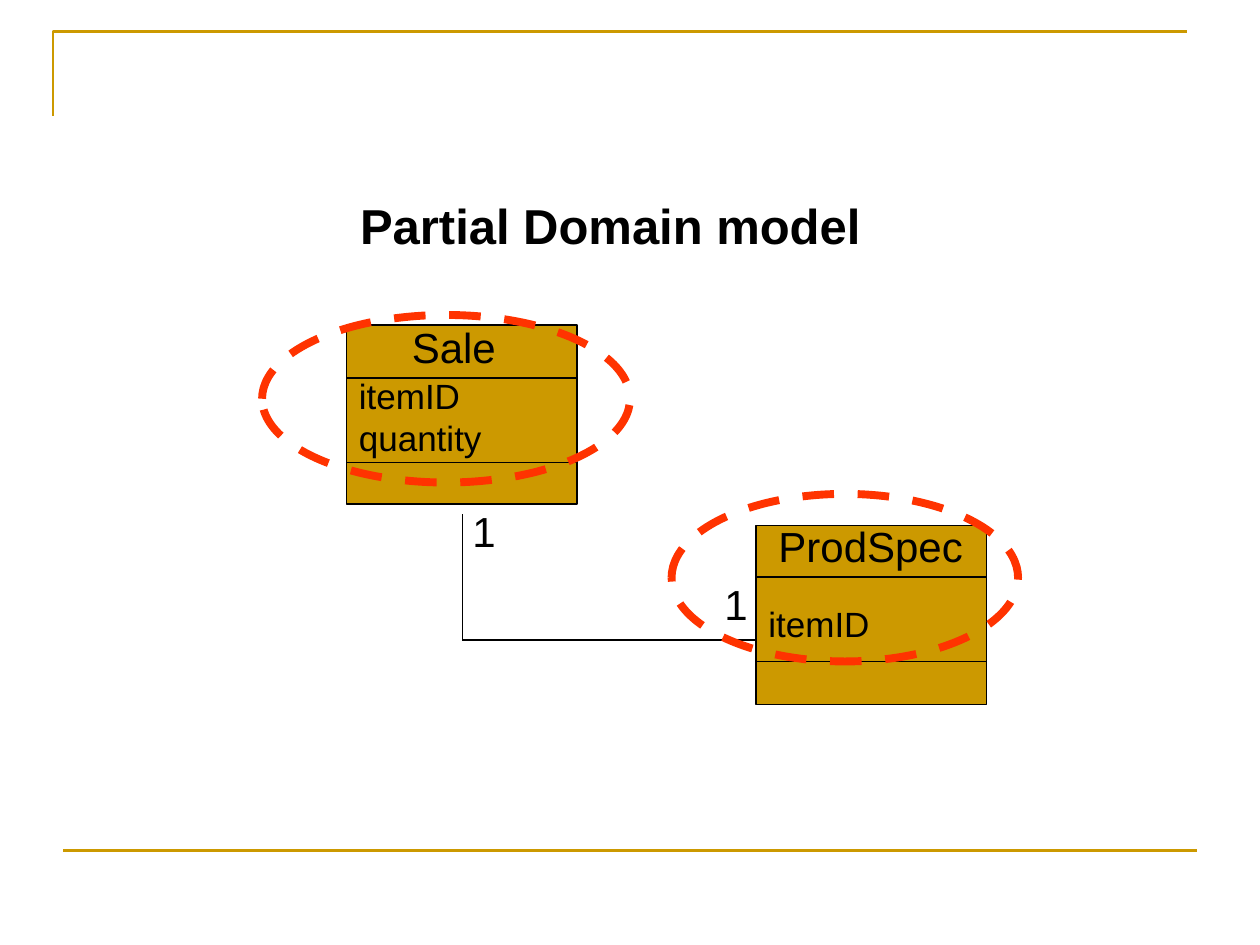
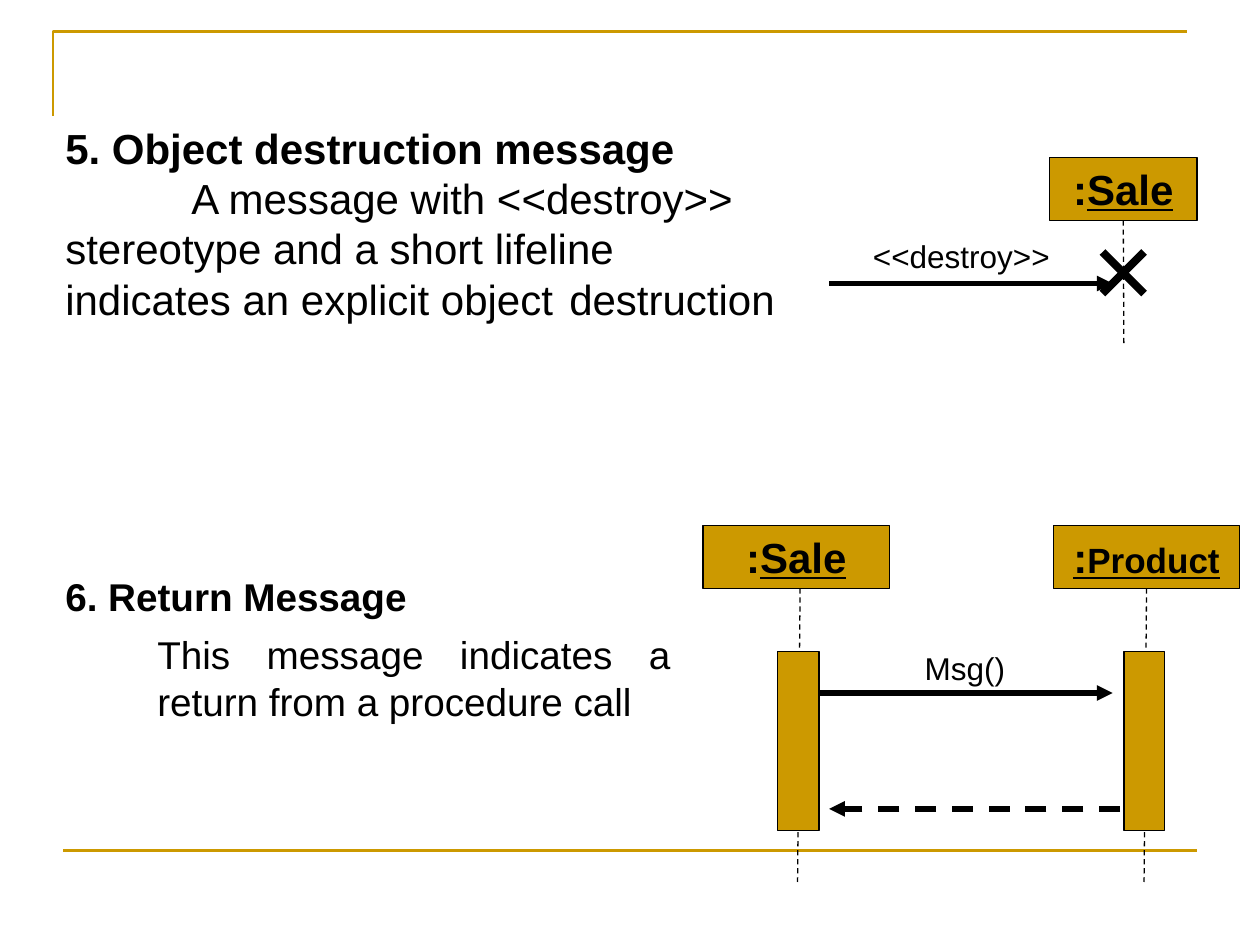
import pptx
import pptx.util
import pptx.dml.color
import pptx.enum.dml
import pptx.enum.shapes
import pptx.enum.text
import pptx.oxml.ns
from lxml import etree

Inches = pptx.util.Inches
Pt = pptx.util.Pt
RGB = pptx.dml.color.RGBColor.from_string
SHAPE = pptx.enum.shapes.MSO_SHAPE
ALIGN = pptx.enum.text.PP_ALIGN
ANCHOR = pptx.enum.text.MSO_ANCHOR
DASH = pptx.enum.dml.MSO_LINE.DASH
qn = pptx.oxml.ns.qn

COLORS = {"gold": "CC9900", "ink": "000000", "highlight": "FF3300"}
FONT = "Arial"


def add_box(page, area, text="", *, shape=None, fill=None, outline="ink", width=0.75,
            dash=None, size=24, bold=False, align=ALIGN.LEFT, anchor=ANCHOR.TOP, wrap=True):
    """Add a text box or preset shape; text is a string or paragraphs of (text, format) spans."""
    place = [Inches(value) for value in area]
    if shape is None:
        box = page.shapes.add_textbox(*place)
    else:
        box = page.shapes.add_shape(shape, *place)
        box.shadow.inherit = False
        box.line.color.rgb = RGB(COLORS[outline])
        box.line.width = Pt(width)
        if dash:
            box.line.dash_style = dash
        if fill:
            box.fill.solid()
            box.fill.fore_color.rgb = RGB(COLORS[fill])
        else:
            box.fill.background()
    if not text:
        return box
    frame = box.text_frame
    frame.word_wrap = wrap
    frame.vertical_anchor = anchor
    paragraphs = [[(text, {})]] if isinstance(text, str) else text
    for index, spans in enumerate(paragraphs):
        para = frame.paragraphs[0] if index == 0 else frame.add_paragraph()
        para.alignment = align
        for words, look in spans:
            span = para.add_run()
            span.text = words
            span.font.name = FONT
            span.font.size = Pt(look.get("size", size))
            span.font.bold = look.get("bold", bold)
            span.font.underline = look.get("underline", False)
            span.font.color.rgb = RGB(COLORS["ink"])
    return box


def add_line(page, start, end, *, color="ink", width=0.75, dash=None, arrow=False):
    """Add a straight connector, with an arrowhead at its end if asked."""
    line = page.shapes.add_connector(pptx.enum.shapes.MSO_CONNECTOR.STRAIGHT,
                                     *[Inches(value) for value in (*start, *end)])
    line.line.color.rgb = RGB(COLORS[color])
    line.line.width = Pt(width)
    if dash:
        line.line.dash_style = dash
    if arrow:
        etree.SubElement(line.line._get_or_add_ln(), qn("a:tailEnd"), type="triangle")
    etree.SubElement(line._element.spPr, qn("a:effectLst"))
    return line


deck = pptx.Presentation()
deck.slide_width, deck.slide_height = Inches(10), Inches(7.5)
domain_page, message_page = [deck.slides.add_slide(deck.slide_layouts[6]) for _ in range(2)]

# Shared frame: corner at the top, rule at the bottom
for page in (domain_page, message_page):
    outline = page.shapes.build_freeform(Inches(0.42), Inches(0.92))
    outline.add_line_segments([(Inches(0.42), Inches(0.25)), (Inches(9.42), Inches(0.25))],
                              close=False)
    corner = outline.convert_to_shape()
    corner.shadow.inherit = False
    corner.fill.background()
    corner.line.color.rgb = RGB(COLORS["gold"])
    corner.line.width = Pt(1.5)
    add_line(page, (0.5, 6.75), (9.5, 6.75), color="gold", width=1.5)

# Slide 1: domain model heading
add_box(domain_page, (2.76, 1.5, 4.17, 0.57), "Partial Domain model", size=28, bold=True,
        wrap=False)

# Class boxes: corner, divider heights, name area, attribute area, attributes
classes = [
    ((2.75, 2.58), (3, 3.67), "Sale", (3.17, 2.5, 0.87, 0.5),
     ["itemID", "quantity"], (2.75, 2.92, 1.37, 0.77)),
    ((6, 4.17), (4.58, 5.25), "ProdSpec", (6.08, 4.08, 1.67, 0.5),
     ["itemID"], (6, 4.73, 1.37, 0.44)),
]
for (left, top), dividers, name, name_area, attributes, attribute_area in classes:
    add_box(domain_page, (left, top, 1.83, 1.42), shape=SHAPE.RECTANGLE, fill="gold")
    for y in dividers:
        add_line(domain_page, (left, y), (left + 1.83, y))
    add_box(domain_page, name_area, name)
    add_box(domain_page, attribute_area, [[(item, {})] for item in attributes], size=20)

# Association with its multiplicities
add_line(domain_page, (3.67, 4.08), (3.67, 5.08))
add_line(domain_page, (3.67, 5.08), (6, 5.08))
for left, top in ((3.65, 3.96), (5.65, 4.54)):
    add_box(domain_page, (left, top, 0.38, 0.5), "1", wrap=False)

# Highlight rings
for area in ((2.08, 2.5, 2.92, 1.33), (5.33, 3.92, 2.75, 1.33)):
    add_box(domain_page, area, shape=SHAPE.OVAL, outline="highlight", width=4.5, dash=DASH)

# Slide 2: destruction message text, with a tab stop at every inch
destruction = add_box(message_page, (0.42, 0.92, 6.23, 1.7), [
    [("5. Object destruction message", {"bold": True})],
    [("\tA message with <<destroy>> \tstereotype and a short lifeline "
      "\tindicates an explicit object \tdestruction", {})],
])
tabs = etree.SubElement(destruction.text_frame.paragraphs[1]._p.get_or_add_pPr(),
                        qn("a:tabLst"))
for inch in range(1, 8):
    etree.SubElement(tabs, qn("a:tab"), pos=str(Inches(inch)), algn="l")

# Return message text
returning = add_box(message_page, (0.42, 4.5, 5, 1.33), [
    [("6. Return Message", {"bold": True})],
    [("This message indicates a return from a procedure call", {})],
], size=22.1, align=ALIGN.JUSTIFY)
explanation = returning.text_frame.paragraphs[1]
explanation.space_before = Pt(6.5)
explanation._p.get_or_add_pPr().set("marL", str(Inches(0.73)))

# Participants: head area, name spans, lifeline from and to
underlined = {"underline": True}
sale = [(":", {}), ("Sale", underlined)]
product = [(":", underlined), ("Product", {"underline": True, "size": 20})]
participants = [
    ((8.33, 1.25, 1.17, 0.5), sale, (8.92, 1.75), (8.92, 2.75)),
    ((5.58, 4.17, 1.48, 0.5), sale, (6.35, 4.67), (6.33, 7)),
    ((8.36, 4.17, 1.48, 0.5), product, (9.1, 4.67), (9.08, 7)),
]
for area, name, start, end in participants:
    head = add_box(message_page, area, [name], shape=SHAPE.RECTANGLE, fill="gold", bold=True,
                   align=ALIGN.CENTER, anchor=ANCHOR.MIDDLE, wrap=False)
    lifeline = add_line(message_page, start, end, dash=DASH)
    if abs(area[0] + area[2] / 2 - start[0]) < 0.02:
        lifeline.begin_connect(head, 2)

# Activation bars
for left, width in ((6.17, 0.33), (8.92, 0.32)):
    add_box(message_page, (left, 5.17, width, 1.42), shape=SHAPE.RECTANGLE, fill="gold")

# Messages and their labels
for start, end, dash in (((6.58, 2.25), (8.83, 2.25), None),
                         ((6.5, 5.5), (8.83, 5.5), None),
                         ((8.89, 6.42), (6.58, 6.42), DASH)):
    add_line(message_page, start, end, width=3, dash=dash, arrow=True)
add_box(message_page, (6.83, 1.83, 1.65, 0.4), "<<destroy>>", size=18, wrap=False)
add_box(message_page, (7.24, 5.1, 0.88, 0.4), "Msg()", size=18, wrap=False)

# Destruction cross
for left, right in ((9.08, 8.75), (8.75, 9.08)):
    add_line(message_page, (left, 2), (right, 2.33), width=4.5)

deck.save("out.pptx")
